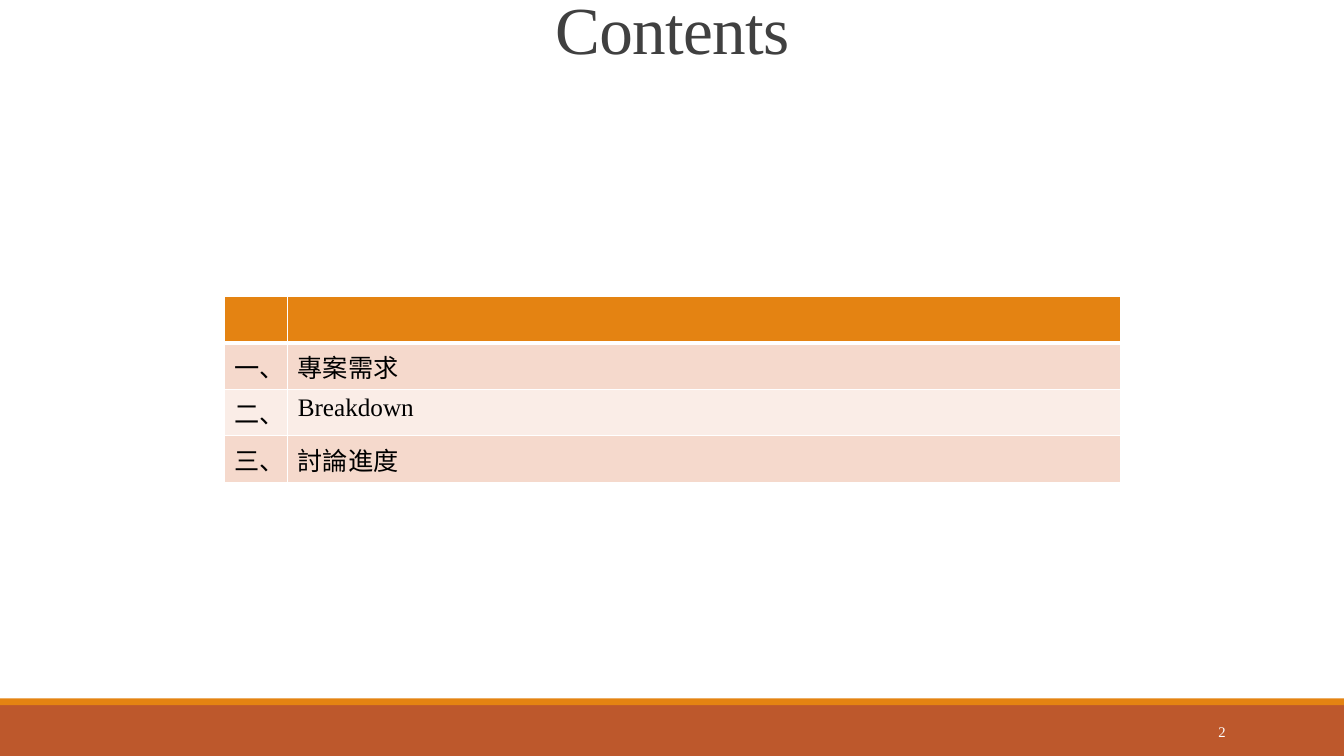
from lxml.etree import SubElement
from pptx import Presentation
from pptx.dml.color import RGBColor
from pptx.enum.shapes import MSO_SHAPE
from pptx.enum.text import MSO_ANCHOR, PP_ALIGN
from pptx.oxml.ns import qn
from pptx.util import Cm, Pt

ORANGE, RUST, WHITE = "E48312", "BD582C", "FFFFFF"
BANDS = ["F5D9CC", "FAEDE7"]
SERIF, SANS = "Times New Roman", "Noto Sans CJK SC"
ITEMS = [("一、", "專案需求"), ("二、", "Breakdown"), ("三、", "討論進度")]


def paint(target, color):
    target.solid()
    target.fore_color.rgb = RGBColor.from_string(color)


def write(frame, text, size=18, font=SERIF, color="000000",
          align=PP_ALIGN.LEFT, anchor=MSO_ANCHOR.TOP, lead=None, track=None):
    frame.word_wrap = True
    frame.vertical_anchor = anchor
    para = frame.paragraphs[0]
    para.alignment = align
    para.line_spacing = lead
    run = para.add_run()
    run.text = text
    run.font.size = Pt(size)
    run.font.name = font
    run.font.color.rgb = RGBColor.from_string(color)
    props = run.font._element
    SubElement(props, qn("a:ea")).set("typeface", font)
    if track:
        props.set("spc", str(round(track * 100)))


def edge(cell, base):
    """Draw white cell borders, the bottom one with the given width."""
    props = cell._tc.get_or_add_tcPr()
    widths = {"lnL": 1, "lnR": 1, "lnT": 1, "lnB": base}
    for spot, (tag, width) in enumerate(widths.items()):
        line = SubElement(props, qn(f"a:{tag}"), w=str(Pt(width)))
        fill = SubElement(line, qn("a:solidFill"))
        SubElement(fill, qn("a:srgbClr"), val=WHITE)
        props.insert(spot, line)


def add_bar(slide, color, left, top, width, height):
    bar = slide.shapes.add_shape(MSO_SHAPE.RECTANGLE, left, top, width, height)
    bar.shadow.inherit = False
    paint(bar.fill, color)
    bar.line.fill.background()


def add_title(slide, text, left, top, width, height):
    title = slide.shapes.title
    title.left, title.top, title.width, title.height = left, top, width, height
    frame = title.text_frame
    frame.margin_top = frame.margin_bottom = 0
    write(frame, text, size=48, color="404040", align=PP_ALIGN.CENTER,
          lead=0.85, track=-0.5)


def add_list(slide, items, left, top, width, height):
    rows = [("", ""), *items]
    table = slide.shapes.add_table(
        len(rows), 2, left, top, width, height).table
    table.columns[0].width = Cm(1.6)
    table.columns[1].width = width - Cm(1.6)
    for i, row in enumerate(rows):
        for j, text in enumerate(row):
            cell = table.cell(i, j)
            paint(cell.fill, BANDS[(i - 1) % 2] if i else ORANGE)
            edge(cell, 1 if i else 3)
            if text:
                write(cell.text_frame, text,
                      font=SERIF if text.isascii() else SANS)


def add_foot(slide, number, left, top, width, height):
    strip = Cm(0.17)
    add_bar(slide, RUST, left, top + strip, width, height - strip)
    add_bar(slide, ORANGE, left, top, width, strip)
    box = slide.shapes.add_textbox(
        left + Cm(27.5), top + Cm(0.33), Cm(3.64), Cm(1.02))
    write(box.text_frame, number, size=10.5, color=WHITE,
          align=PP_ALIGN.RIGHT, anchor=MSO_ANCHOR.MIDDLE)


def main():
    deck = Presentation()
    deck.slide_width, deck.slide_height = Cm(33.87), Cm(19.05)
    slide = deck.slides.add_slide(deck.slide_layouts[5])
    add_foot(slide, "2", 0, Cm(17.6), deck.slide_width, Cm(1.45))
    add_title(slide, "Contents", Cm(2.97), 0, Cm(27.94), Cm(1.52))
    add_list(slide, ITEMS, Cm(5.65), Cm(7.47), Cm(22.58), Cm(4.68))
    deck.save("out.pptx")


if __name__ == "__main__":
    main()
